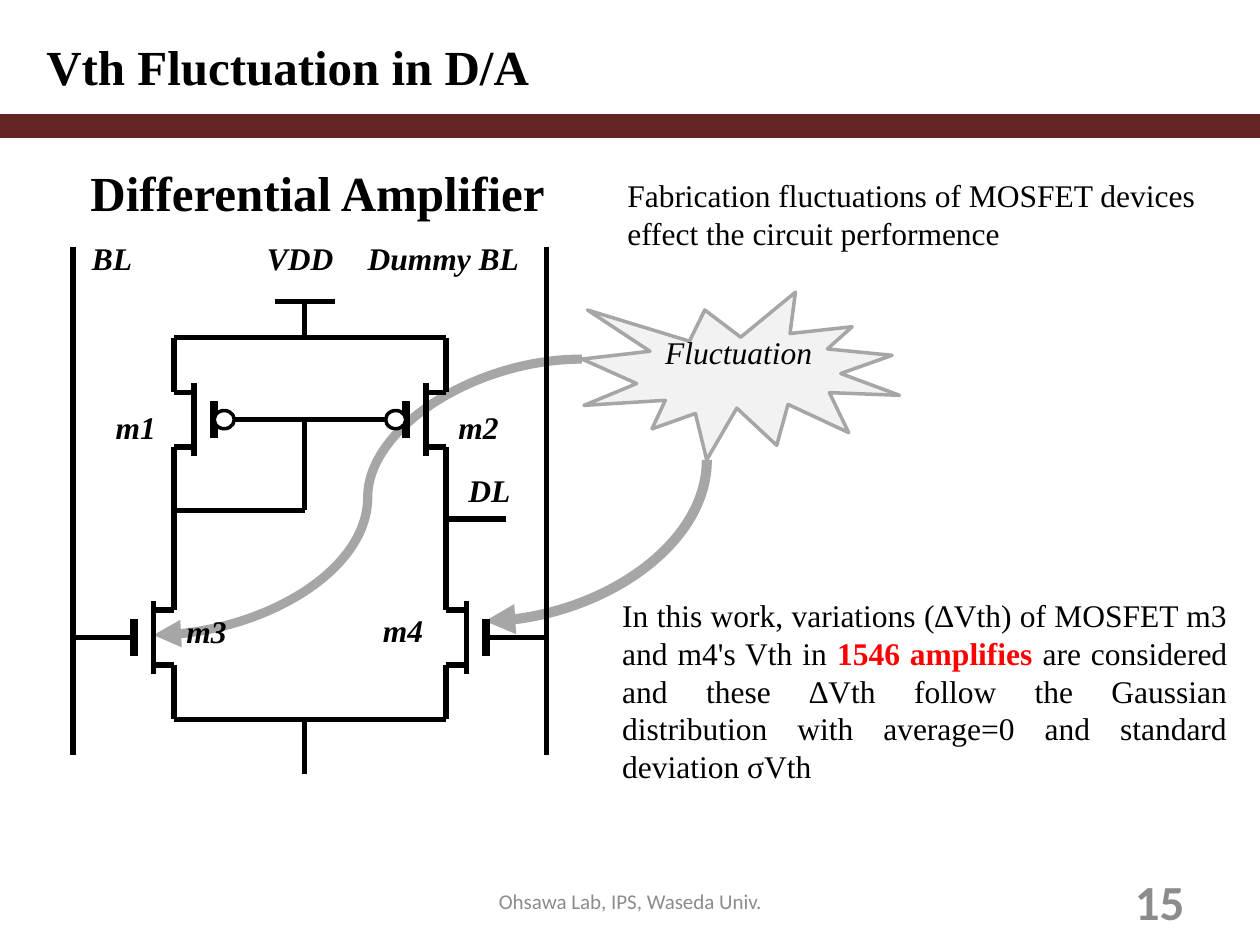
"""Build the slide on threshold voltage fluctuation in a differential amplifier."""
from dataclasses import dataclass

from lxml import etree
from pptx import Presentation
from pptx import util as u
from pptx.dml import color
from pptx.enum import shapes, text
from pptx.oxml import ns

SERIF, SANS = "Times New Roman", "Calibri"
BLACK, GREY, FOOTER = "000000", "A6A6A6", "8C8C8C"
LEFT, CENTRE, RIGHT, STEP = 99.4, 174.2, 254.9, 11.5
BL, DUMMY_BL = 41.8, 312.5
TOP, P_ROW, N_ROW, BOTTOM = 193, 239.8, 364.3, 411
CHANNEL, STUB, GATE = 20.9, 15.7, 10.4


@dataclass(frozen=True)
class Mosfet:
    drain: float
    y: float
    side: int
    pmos: bool

    @property
    def gate(self) -> float:
        return self.drain + 2 * STEP * self.side


@dataclass(frozen=True)
class Label:
    words: str
    x: float
    y: float
    w: float


MOSFETS = (
    Mosfet(LEFT, P_ROW, 1, True),
    Mosfet(RIGHT, P_ROW, -1, True),
    Mosfet(LEFT, N_ROW, -1, False),
    Mosfet(RIGHT, N_ROW, 1, False),
)
LABELS = (
    Label("VDD", 145.4, 133.2, 86.4),
    Label("BL", 45.4, 133.2, 57.6),
    Label("Dummy BL", 203, 133.2, 149.8),
    Label("m1", 59, 229.7, 86.4),
    Label("m2", 254.9, 229.7, 68.4),
    Label("m3", 99.4, 346.3, 69.1),
    Label("m4", 211.7, 345.6, 57.6),
    Label("DL", 260.6, 265.7, 45.4),
)
WIRES = (
    (LEFT, TOP, RIGHT, TOP),
    (CENTRE, 172.1, CENTRE, TOP),
    (156.9, 172.1, 191.5, 172.1),
    (LEFT + 3 * STEP, P_ROW, RIGHT - 3 * STEP, P_ROW),
    (CENTRE, P_ROW, CENTRE, 291.6),
    (LEFT, 291.6, CENTRE, 291.6),
    (RIGHT, 296.6, 289.4, 296.6),
    (BL, N_ROW, LEFT - 2 * STEP, N_ROW),
    (RIGHT + 2 * STEP, N_ROW, DUMMY_BL, N_ROW),
    (LEFT, BOTTOM, RIGHT, BOTTOM),
    (CENTRE, BOTTOM, CENTRE, 442.1),
    (BL, 141.1, BL, 431.3),
    (DUMMY_BL, 141.1, DUMMY_BL, 431.3),
)


def rgb(value: str) -> color.RGBColor:
    return color.RGBColor.from_string(value)


def add_run(p, words: str, *, size=18, font=SERIF, fg=BLACK, bold=False, italic=False):
    r = p.add_run()
    r.text = words
    f = r.font
    f.size, f.name, f.bold, f.italic = u.Pt(size), font, bold, italic
    f.color.rgb = rgb(fg)


def add_text(slide, words: str, x, y, w, h, *, align=text.PP_ALIGN.LEFT,
             anchor=text.MSO_ANCHOR.TOP, **fmt):
    tf = slide.shapes.add_textbox(u.Pt(x), u.Pt(y), u.Pt(w), u.Pt(h)).text_frame
    tf.word_wrap, tf.vertical_anchor = True, anchor
    p = tf.paragraphs[0]
    p.alignment = align
    add_run(p, words, **fmt)
    return p


def add_shape(slide, kind, x, y, w, h, fill: str, line: str):
    sp = slide.shapes.add_shape(kind, u.Pt(x), u.Pt(y), u.Pt(w), u.Pt(h))
    sp.shadow.inherit = False
    sp.fill.solid()
    sp.fill.fore_color.rgb = rgb(fill)
    sp.line.color.rgb = rgb(line)
    sp.line.width = u.Pt(2)
    return sp


def add_line(slide, x1, y1, x2, y2, *, width=3.0, fg=BLACK,
             kind=shapes.MSO_CONNECTOR.STRAIGHT):
    sp = slide.shapes.add_connector(kind, u.Pt(x1), u.Pt(y1), u.Pt(x2), u.Pt(y2))
    sp.line.color.rgb = rgb(fg)
    sp.line.width = u.Pt(width)
    etree.SubElement(sp._element.spPr, ns.qn("a:effectLst"))
    return sp


def add_curve(slide, x1, y1, x2, y2, width: float):
    sp = add_line(slide, x1, y1, x2, y2, width=width, fg=GREY,
                  kind=shapes.MSO_CONNECTOR.CURVE)
    etree.SubElement(sp.line._get_or_add_ln(), ns.qn("a:tailEnd"), type="triangle")
    return sp


def draw_mosfet(slide, m: Mosfet):
    channel = m.drain + STEP * m.side
    add_line(slide, channel, m.y - CHANNEL, channel, m.y + CHANNEL)
    add_line(slide, m.gate, m.y - GATE, m.gate, m.y + GATE, width=4.5)
    for y in (m.y - STUB, m.y + STUB):
        add_line(slide, m.drain, y, channel, y)
    if m.pmos:
        x = min(m.gate, m.gate + STEP * m.side)
        add_shape(slide, shapes.MSO_SHAPE.FLOWCHART_CONNECTOR, x, m.y - 5.2, STEP, 10.4,
                  "FFFFFF", BLACK)


def draw_amplifier(slide):
    for m in MOSFETS:
        draw_mosfet(slide, m)
    for x in (LEFT, RIGHT):
        add_line(slide, x, TOP, x, P_ROW - STUB)
        add_line(slide, x, P_ROW + STUB, x, N_ROW - STUB)
        add_line(slide, x, N_ROW + STUB, x, BOTTOM)
    for wire in WIRES:
        add_line(slide, *wire)
    for label in LABELS:
        add_text(slide, label.words, label.x, label.y, label.w, 28.8, bold=True, italic=True)


def draw_fluctuation(slide):
    bend = add_curve(slide, 294.5, 245.5, 386.6, 372.2, 5.75)
    spPr = bend._element.spPr
    spPr.find(ns.qn("a:xfrm")).set("rot", "5400000")
    spPr.find(ns.qn("a:prstGeom")).set("prst", "curvedConnector2")
    add_curve(slide, 332.6, 205.2, 87.8, 362.9, 5.25)
    burst = add_shape(slide, shapes.MSO_SHAPE.EXPLOSION1, 332.6, 167, 181.4, 95.8,
                      "F2F2F2", GREY)
    tf = burst.text_frame
    tf.vertical_anchor = text.MSO_ANCHOR.MIDDLE
    tf.margin_left = tf.margin_right = u.Pt(0)
    tf.margin_bottom = u.Pt(25)
    tf.paragraphs[0].alignment = text.PP_ALIGN.CENTER
    add_run(tf.paragraphs[0], "Fluctuation", italic=True)


def main():
    prs = Presentation()
    prs.slide_width, prs.slide_height = u.Pt(720), u.Pt(540)
    s = prs.slides.add_slide(prs.slide_layouts[6])
    draw_fluctuation(s)
    middle = text.MSO_ANCHOR.MIDDLE
    add_text(s, "Ohsawa Lab, IPS, Waseda Univ.", 246.2, 500.4, 228.2, 28.8, size=12,
             font=SANS, fg=FOOTER, align=text.PP_ALIGN.CENTER, anchor=middle)
    add_text(s, "15", 516.2, 500.4, 167.8, 28.8, size=28, font=SANS, fg=FOOTER,
             bold=True, align=text.PP_ALIGN.RIGHT, anchor=middle)
    add_text(s, "Vth Fluctuation in D/A", 19.4, 17.3, 611.3, 41, size=28, bold=True)
    add_shape(s, shapes.MSO_SHAPE.RECTANGLE, 0, 66.2, 720, 11.5, "632523", "632523")
    draw_amplifier(s)
    add_text(s, "Differential Amplifier", 44.6, 89.3, 293.8, 41, size=28, bold=True)
    add_text(s, "Fabrication fluctuations of MOSFET devices effect the circuit performence",
             351.4, 97.2, 360, 51.1)
    p = add_text(s, "In this work, variations (∆Vth) of MOSFET m3 and m4's Vth in ",
                 348.5, 337, 360, 116.6, align=text.PP_ALIGN.JUSTIFY)
    add_run(p, "1546 amplifies ", fg="FF0000", bold=True)
    add_run(p, "are considered and these ∆Vth follow the Gaussian distribution "
               "with average=0 and standard deviation σVth")
    prs.save("out.pptx")


if __name__ == "__main__":
    main()
